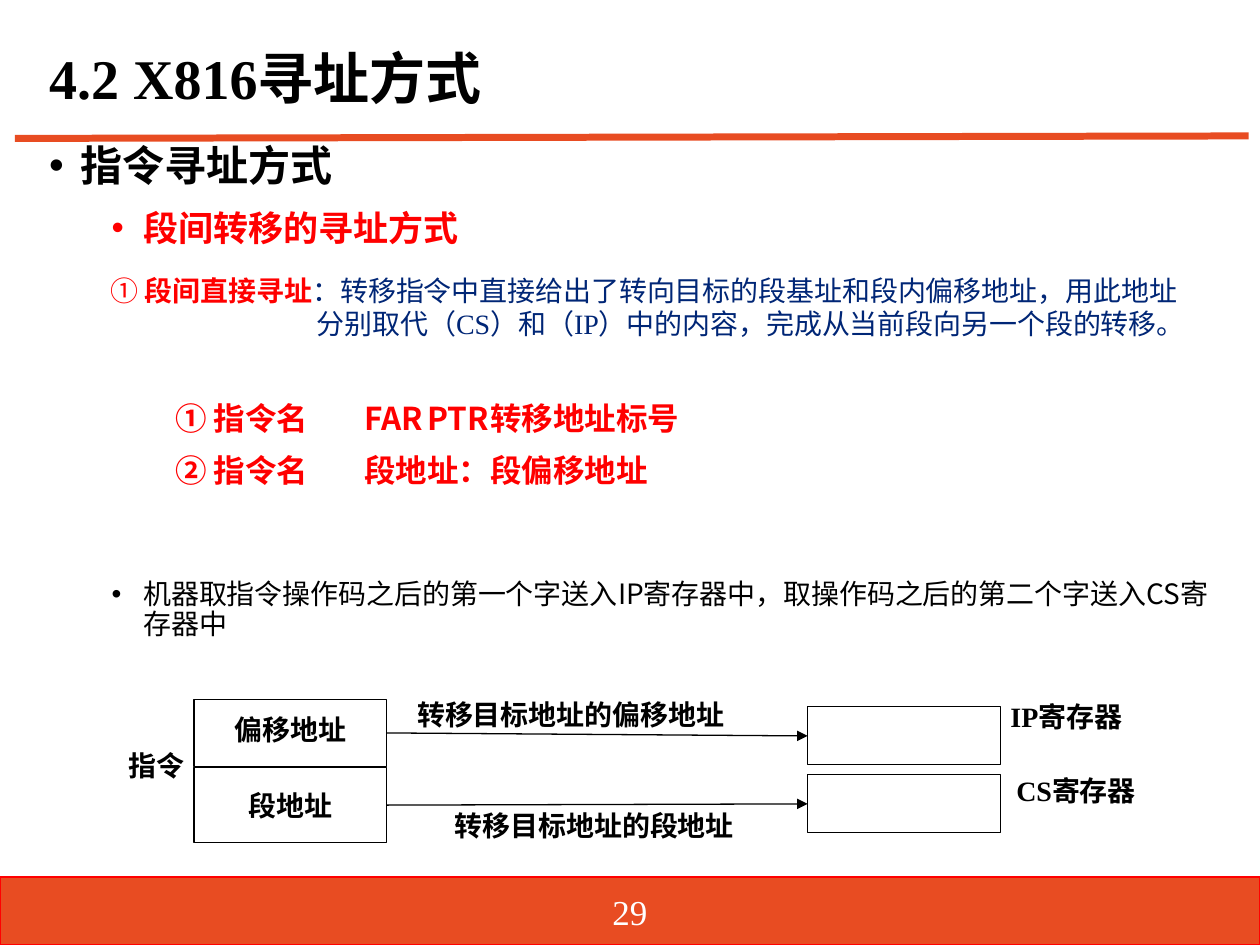
from lxml import etree
from pptx import Presentation
from pptx.dml.color import RGBColor
from pptx.enum.shapes import MSO_CONNECTOR, MSO_SHAPE
from pptx.enum.text import MSO_ANCHOR, PP_ALIGN
from pptx.oxml.ns import qn
from pptx.util import Cm, Pt

RECT = MSO_SHAPE.RECTANGLE
LINE = MSO_CONNECTOR.STRAIGHT
MID, TOP = MSO_ANCHOR.MIDDLE, MSO_ANCHOR.TOP
LEFT, MIDDLE = PP_ALIGN.LEFT, PP_ALIGN.CENTER
SERIF, SANS = "Times New Roman", "Noto Sans CJK SC"
RED, NAVY, ORANGE = "FF0000", "002676", "E84C22"


def color(code):
    return RGBColor.from_string(code)


def text(shape, runs, size=16, font=SERIF, tint="000000", bold=True,
         align=LEFT, anchor=TOP, pad=(0.25, 0.13), space=1, before=0, after=0,
         left=0, hang=0, bullet=None, tabs=()):
    """Add a paragraph; runs is a string or a list of (words, font, tint, bold)."""
    frame = shape.text_frame
    frame.word_wrap = True
    frame.vertical_anchor = anchor
    frame.margin_left = frame.margin_right = Cm(pad[0])
    frame.margin_top = frame.margin_bottom = Cm(pad[1])
    para = frame.paragraphs[0]
    if para.runs:
        para = frame.add_paragraph()
    para.alignment, para.line_spacing = align, space
    para.space_before, para.space_after = Pt(before), Pt(after)
    props = para._p.get_or_add_pPr()
    props.set("marL", str(Cm(left)))
    props.set("indent", str(Cm(-hang)))
    if bullet:
        etree.SubElement(props, qn("a:buFont"), typeface="Arial")
        etree.SubElement(props, qn("a:buChar"), char=bullet)
    if tabs:
        stops = etree.SubElement(props, qn("a:tabLst"))
        for stop in tabs:
            etree.SubElement(stops, qn("a:tab"), pos=str(Cm(stop)), algn="l")
    if isinstance(runs, str):
        runs = [(runs, font, tint, bold)]
    for words, face, hue, heavy in runs:
        run = para.add_run()
        run.text = words
        run.font.size, run.font.bold, run.font.name = Pt(size), heavy, face
        run.font.color.rgb = color(hue)
        etree.SubElement(run._r.get_or_add_rPr(), qn("a:ea"), typeface=SANS)


prs = Presentation()
prs.slide_width, prs.slide_height = Cm(25.4), Cm(19.05)
slide = prs.slides.add_slide(prs.slide_layouts[6])
shapes = slide.shapes

# Footer bar and page number
bar = shapes.add_shape(RECT, Cm(0), Cm(17.68), Cm(25.4), Cm(1.37))
bar.shadow.inherit = False
bar.fill.solid()
bar.fill.fore_color.rgb = color(ORANGE)
bar.line.color.rgb = color(RED)
bar.line.width = Pt(0)
page = shapes.add_textbox(Cm(9.84), Cm(17.86), Cm(5.72), Cm(1.02))
text(page, "29", size=20, tint="FFFFFF", bold=False, align=MIDDLE, anchor=MID)

# Title and rule
title = shapes.add_textbox(Cm(0.74), Cm(0.53), Cm(23.98), Cm(2.24))
text(title, "4.2 X816寻址方式", size=32, anchor=MID, space=0.9)
rule = shapes.add_connector(LINE, Cm(0.3), Cm(2.79), Cm(25.17), Cm(2.74))
rule.line.color.rgb = color(ORANGE)
rule.line.width = Pt(4)
etree.SubElement(rule._element.spPr, qn("a:effectLst"))

# Headings
head = shapes.add_textbox(Cm(0.74), Cm(2.79), Cm(23.98), Cm(2.6))
text(head, "指令寻址方式", size=24, space=0.9, after=6,
     left=0.64, hang=0.64, bullet="•")
text(head, "段间转移的寻址方式", size=20, font=SANS, tint=RED, space=0.9,
     before=6, left=1.9, hang=0.64, bullet="•")

# Direct addressing
direct = shapes.add_textbox(Cm(1.98), Cm(5.38), Cm(23.52), Cm(1.8))
text(direct, [("① ", SANS, RED, False), ("段间直接寻址", SERIF, RED, True),
              ("：转移指令中直接给出了转向目标的段基址和段内偏移地址，用此地址",
               SERIF, NAVY, False)])
text(direct, "分别取代（CS）和（IP）中的内容，完成从当前段向另一个段的转移。",
     tint=NAVY, bold=False, left=4.15)

# Instruction forms
forms = shapes.add_textbox(Cm(3.53), Cm(8.14), Cm(20), Cm(2.2))
for words, gap, tabs in (
        ("① 指令名\tFAR\tPTR\t转移地址标号", 0, (3.4, 4.89, 6.58)),
        ("② 指令名\t段地址：段偏移地址", 10.2, (3.28,))):
    text(forms, words, size=18, font=SANS, tint=RED, pad=(0, 0), space=0.9,
         before=gap, tabs=tabs)

# Register note
note = shapes.add_textbox(Cm(0.74), Cm(11.57), Cm(23.98), Cm(1.8))
text(note, "机器取指令操作码之后的第一个字送入IP寄存器中，"
     "取操作码之后的第二个字送入CS寄存器中", font=SANS, bold=False,
     space=0.9, left=1.9, hang=0.64, bullet="•")

# Instruction fields and registers
cells = []
for x, y, high, words in ((3.91, 14.1, 1.35, "偏移地址"),
                          (16.28, 14.25, 1.17, ""),
                          (3.91, 15.47, 1.52, "段地址"),
                          (16.28, 15.62, 1.17, "")):
    cell = shapes.add_shape(RECT, Cm(x), Cm(y), Cm(3.89), Cm(high))
    cell.shadow.inherit = False
    cell.fill.background()
    cell.line.color.rgb = color("000000")
    cell.line.width = Pt(0.75)
    if words:
        text(cell, words, align=MIDDLE, anchor=MID,
             space=0.72 if words == "偏移地址" else 1)
    cells.append(cell)

# Arrows from each field to its register
for field, store in (cells[:2], cells[2:]):
    arrow = shapes.add_connector(LINE, 0, 0, 0, 0)
    arrow.begin_connect(field, 3)
    arrow.end_connect(store, 1)
    arrow.line.color.rgb = color("000000")
    arrow.line.width = Pt(0.75)
    etree.SubElement(arrow.line._get_or_add_ln(), qn("a:tailEnd"), type="triangle")
    etree.SubElement(arrow._element.spPr, qn("a:effectLst"))

# Diagram labels
for x, mid, wide, words in ((8.41, 14.4, 7, "转移目标地址的偏移地址"),
                            (9.17, 16.63, 6.5, "转移目标地址的段地址"),
                            (2.6, 15.43, 1.3, "指令"),
                            (20.37, 14.45, 3.5, "IP寄存器"),
                            (20.49, 15.93, 3.5, "CS寄存器")):
    label = shapes.add_textbox(Cm(x), Cm(mid - 0.5), Cm(wide), Cm(1))
    text(label, words, anchor=MID, pad=(0, 0))

prs.save("out.pptx")
